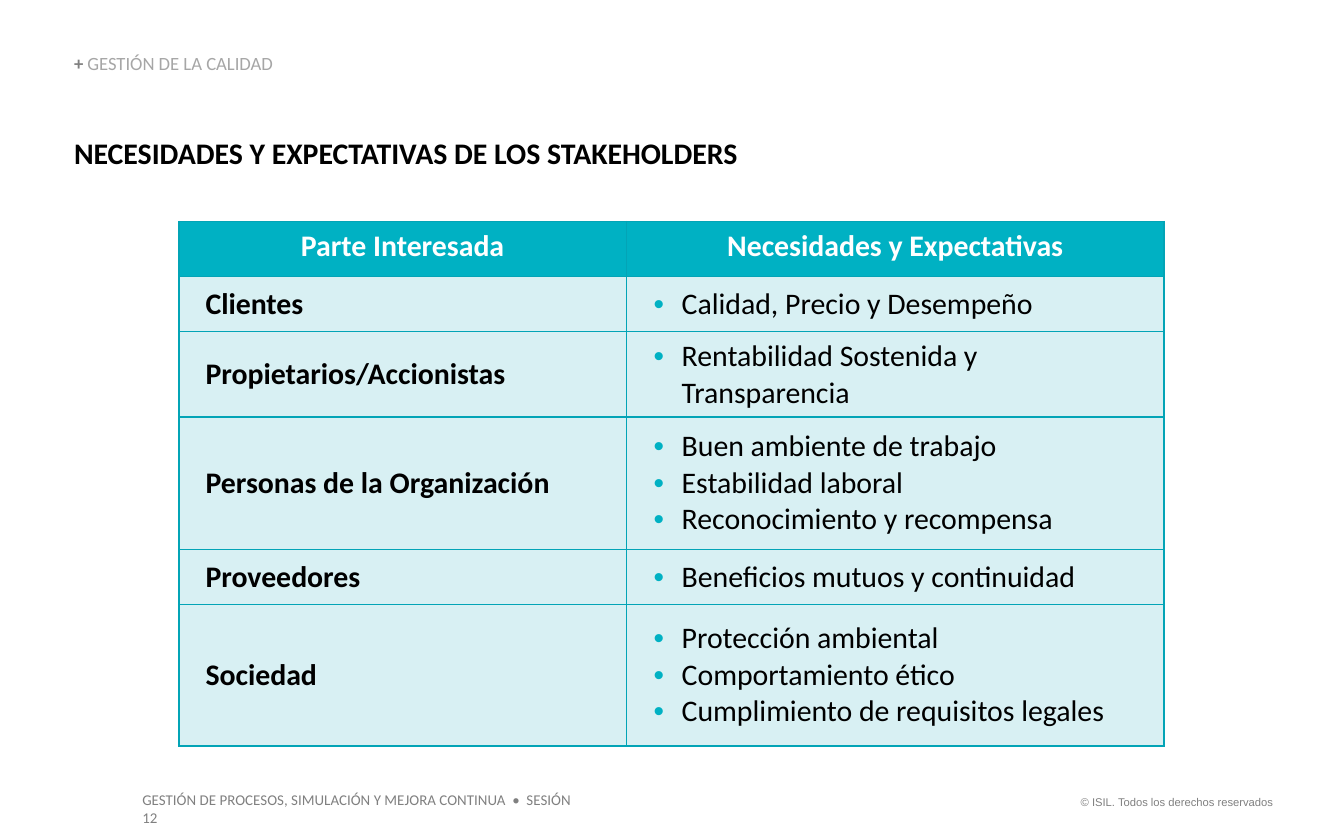
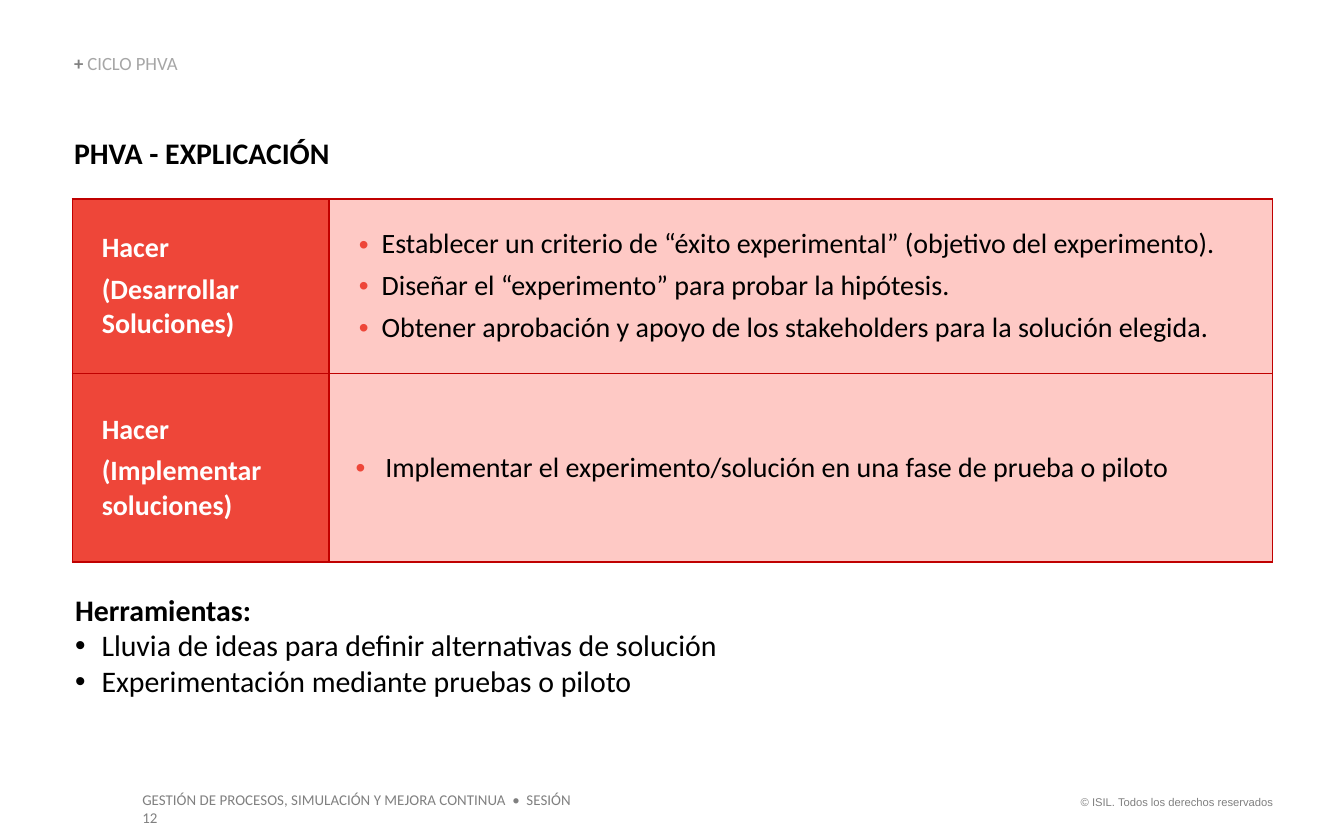
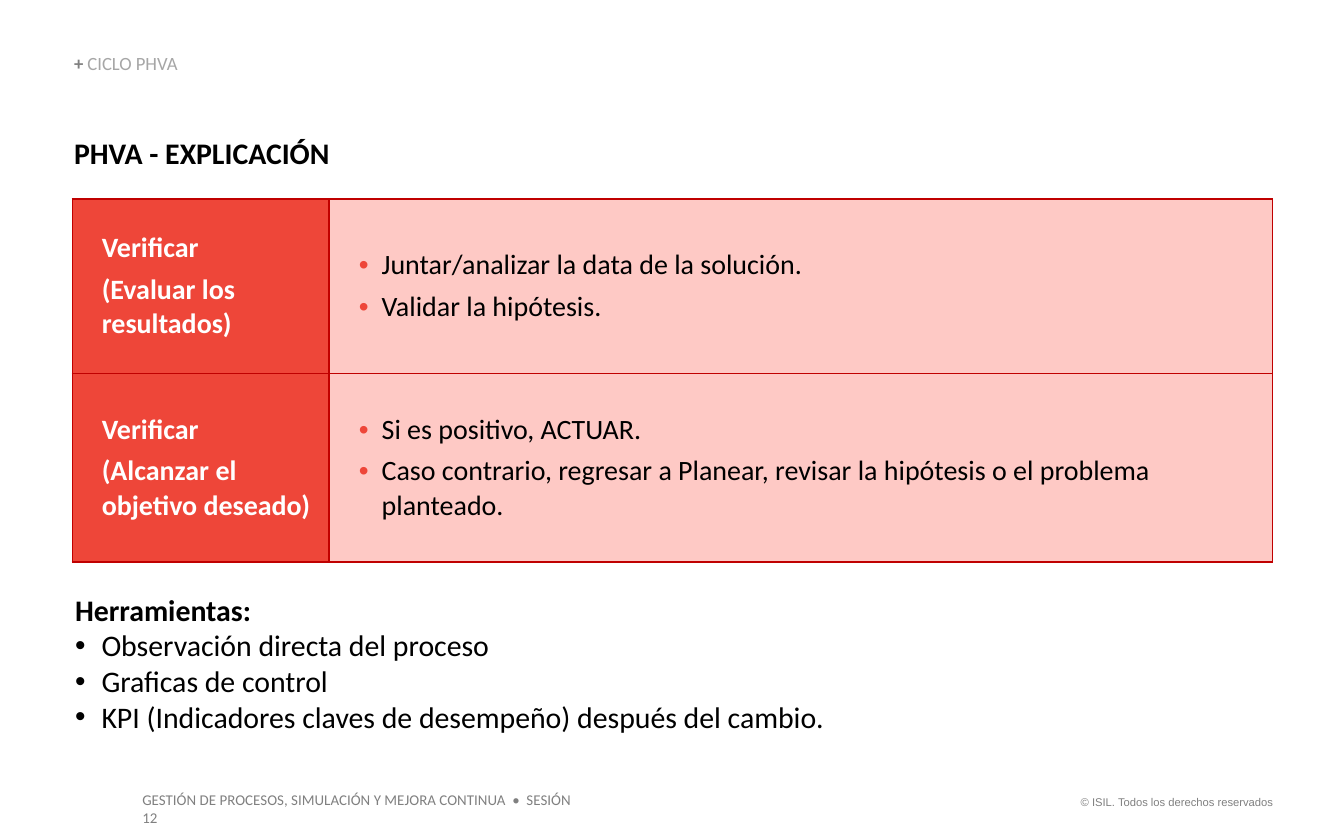
import pptx
import pptx.dml.color
import pptx.enum.text
import pptx.oxml.ns
import pptx.util
from lxml import etree

Cm = pptx.util.Cm
Pt = pptx.util.Pt
RGBColor = pptx.dml.color.RGBColor
PP_ALIGN = pptx.enum.text.PP_ALIGN
MSO_ANCHOR = pptx.enum.text.MSO_ANCHOR
qn = pptx.oxml.ns.qn

BLACK = RGBColor(0x00, 0x00, 0x00)
WHITE = RGBColor(0xFF, 0xFF, 0xFF)
GRAY = RGBColor(0x80, 0x80, 0x80)
LIGHT_GRAY = RGBColor(0xA6, 0xA6, 0xA6)
TEAL = RGBColor(0x00, 0xB1, 0xC3)
TEAL_BORDER = RGBColor(0x03, 0xA4, 0xB6)
TEAL_TINT = RGBColor(0xD8, 0xF0, 0xF3)
RED = RGBColor(0xEE, 0x46, 0x39)
RED_BORDER = RGBColor(0xC0, 0x00, 0x00)
RED_TINT = RGBColor(0xFE, 0xC9, 0xC5)

STAKEHOLDER_TABLE = {
    "left": 3.38, "top": 4.19, "columns": [8.46, 10.16],
    "heights": [1.04, 1.04, 1.04, 2.51, 1.04, 2.67],
    "size": 16, "space": 0, "indent": 0.25,
    "accent": TEAL, "border": TEAL_BORDER, "tint": TEAL_TINT,
    "label_fill": TEAL_TINT, "label_color": BLACK,
}
CYCLE_TABLE = {
    "left": 1.37, "top": 3.76, "columns": [4.85, 17.83],
    "heights": [3.3, 3.56],
    "size": 15, "space": 4, "indent": 0.3,
    "accent": RED, "border": RED_BORDER, "tint": RED_TINT,
    "label_fill": RED, "label_color": WHITE,
}

PAGES = [
    {
        "section": "GESTIÓN DE LA CALIDAD",
        "title": "NECESIDADES Y EXPECTATIVAS DE LOS STAKEHOLDERS",
        "table": STAKEHOLDER_TABLE,
        "header": ["Parte Interesada", "Necesidades y Expectativas"],
        "rows": [
            ("Clientes", ["Calidad, Precio y Desempeño"], 0.79, 0.53),
            ("Propietarios/Accionistas",
             ["Rentabilidad Sostenida y Transparencia"], 0.79, 0.53),
            ("Personas de la Organización",
             ["Buen ambiente de trabajo", "Estabilidad laboral",
              "Reconocimiento y recompensa"], 0.79, 0.53),
            ("Proveedores", ["Beneficios mutuos y continuidad"], 0.79, 0.53),
            ("Sociedad",
             ["Protección ambiental", "Comportamiento ético",
              "Cumplimiento de requisitos legales"], 0.79, 0.53),
        ],
        "tools": [],
    },
    {
        "section": "CICLO PHVA",
        "title": "PHVA - EXPLICACIÓN",
        "table": CYCLE_TABLE,
        "header": [],
        "rows": [
            ("Hacer\n(Desarrollar Soluciones)",
             ["Establecer un criterio de “éxito experimental” (objetivo del experimento).",
              "Diseñar el “experimento” para probar la hipótesis.",
              "Obtener aprobación y apoyo de los stakeholders para la solución elegida."],
             0.74, 0.43),
            ("Hacer\n(Implementar soluciones)",
             ["Implementar el experimento/solución en una fase de prueba o piloto"],
             0.81, 0.56),
        ],
        "tools": ["Lluvia de ideas para definir alternativas de solución",
                  "Experimentación mediante pruebas o piloto"],
    },
    {
        "section": "CICLO PHVA",
        "title": "PHVA - EXPLICACIÓN",
        "table": CYCLE_TABLE,
        "header": [],
        "rows": [
            ("Verificar\n(Evaluar los resultados)",
             ["Juntar/analizar la data de la solución.", "Validar la hipótesis."],
             0.74, 0.43),
            ("Verificar\n(Alcanzar el objetivo deseado)",
             ["Si es positivo, ACTUAR.",
              "Caso contrario, regresar a Planear, revisar la hipótesis o el problema planteado."],
             0.74, 0.43),
        ],
        "tools": ["Observación directa del proceso", "Graficas de control",
                  "KPI (Indicadores claves de desempeño) después del cambio."],
    },
]


def add_text(slide, left, top, width, height, text, size, color,
             bold=False, font="Calibri", inset=0.0):
    frame = slide.shapes.add_textbox(Cm(left), Cm(top), Cm(width), Cm(height)).text_frame
    frame.word_wrap = True
    frame.margin_left = frame.margin_right = Cm(inset)
    frame.margin_top = frame.margin_bottom = Cm(inset / 2)
    frame.text = text
    for paragraph in frame.paragraphs:
        for run in paragraph.runs:
            run.font.name = font
            run.font.size = Pt(size)
            run.font.bold = bold
            run.font.color.rgb = color
    return frame


def set_indent(paragraph, left, hanging=0.0, bullet_color=None):
    properties = paragraph._p.get_or_add_pPr()
    properties.set("marL", str(Cm(left)))
    properties.set("indent", str(-Cm(hanging)))
    if bullet_color is not None:
        color = etree.SubElement(properties, qn("a:buClr"))
        etree.SubElement(color, qn("a:srgbClr")).set("val", str(bullet_color))
        etree.SubElement(properties, qn("a:buFont")).set("typeface", "Arial")
        etree.SubElement(properties, qn("a:buChar")).set("char", "•")


deck = pptx.Presentation()
deck.slide_width = Cm(25.4)
deck.slide_height = Cm(15.88)

for page in PAGES:
    slide = deck.slides.add_slide(deck.slide_layouts[6])

    rights = add_text(slide, 20.02, 14.91, 4.29, 0.51,
                      "© ISIL. Todos los derechos reservados", 6, GRAY,
                      font="Arial", inset=0.25)
    rights.word_wrap = False
    rights.paragraphs[0].alignment = PP_ALIGN.RIGHT
    add_text(slide, 2.44, 14.83, 8.9, 0.61,
             "GESTIÓN DE PROCESOS, SIMULACIÓN Y MEJORA CONTINUA  •  SESIÓN 12",
             8, GRAY, inset=0.25)

    add_text(slide, 1.4, 2.55, 20, 0.69, page["title"], 16, BLACK, bold=True)

    section = add_text(slide, 1.4, 1.04, 6.76, 0.38, "+ ", 10, GRAY, bold=True)
    section.vertical_anchor = MSO_ANCHOR.BOTTOM
    section.paragraphs[0].line_spacing = 0.9
    section_name = section.paragraphs[0].add_run()
    section_name.text = page["section"]
    section_name.font.name = "Calibri"
    section_name.font.size = Pt(10)
    section_name.font.bold = False
    section_name.font.color.rgb = LIGHT_GRAY

    look = page["table"]
    heights = look["heights"]
    table = slide.shapes.add_table(
        len(heights), 2, Cm(look["left"]), Cm(look["top"]),
        Cm(sum(look["columns"])), Cm(sum(heights))).table
    table.horz_banding = False
    table.first_row = bool(page["header"])
    for column, width in zip(table.columns, look["columns"]):
        column.width = Cm(width)
    for row, height in zip(table.rows, heights):
        row.height = Cm(height)

    header_count = 1 if page["header"] else 0
    for row_index, row in enumerate(table.rows):
        is_header = row_index < header_count
        if is_header:
            texts = page["header"]
        else:
            label, items, bullet_left, hanging = page["rows"][row_index - header_count]
            texts = [label, "\n".join(items)]
        for column_index, cell in enumerate(row.cells):
            is_label = column_index == 0
            if is_header:
                fill, color = look["accent"], WHITE
            elif is_label:
                fill, color = look["label_fill"], look["label_color"]
            else:
                fill, color = look["tint"], BLACK

            cell_properties = cell._tc.get_or_add_tcPr()
            for side in ("a:lnL", "a:lnR", "a:lnT", "a:lnB"):
                border = etree.SubElement(cell_properties, qn(side), w=str(Pt(1)))
                border_fill = etree.SubElement(border, qn("a:solidFill"))
                etree.SubElement(border_fill, qn("a:srgbClr"), val=str(look["border"]))
            cell.fill.solid()
            cell.fill.fore_color.rgb = fill
            cell.vertical_anchor = MSO_ANCHOR.TOP if is_header else MSO_ANCHOR.MIDDLE

            cell.text_frame.text = texts[column_index]
            for line_index, paragraph in enumerate(cell.text_frame.paragraphs):
                if is_header:
                    paragraph.alignment = PP_ALIGN.CENTER
                elif is_label:
                    set_indent(paragraph, look["indent"])
                else:
                    set_indent(paragraph, bullet_left, hanging, look["accent"])
                if line_index and look["space"]:
                    paragraph.space_before = Pt(look["space"])
                for run in paragraph.runs:
                    run.font.name = "Calibri"
                    run.font.size = Pt(look["size"])
                    run.font.bold = is_header or is_label
                    run.font.color.rgb = color

    if page["tools"]:
        tools = add_text(slide, 1.42, 11.18, 22.83, 0.69 * (len(page["tools"]) + 1),
                         "\n".join(["Herramientas:"] + page["tools"]), 16, BLACK)
        tools.paragraphs[0].runs[0].font.bold = True
        for paragraph in tools.paragraphs[1:]:
            set_indent(paragraph, 0.5, 0.5, BLACK)

deck.save("out.pptx")
